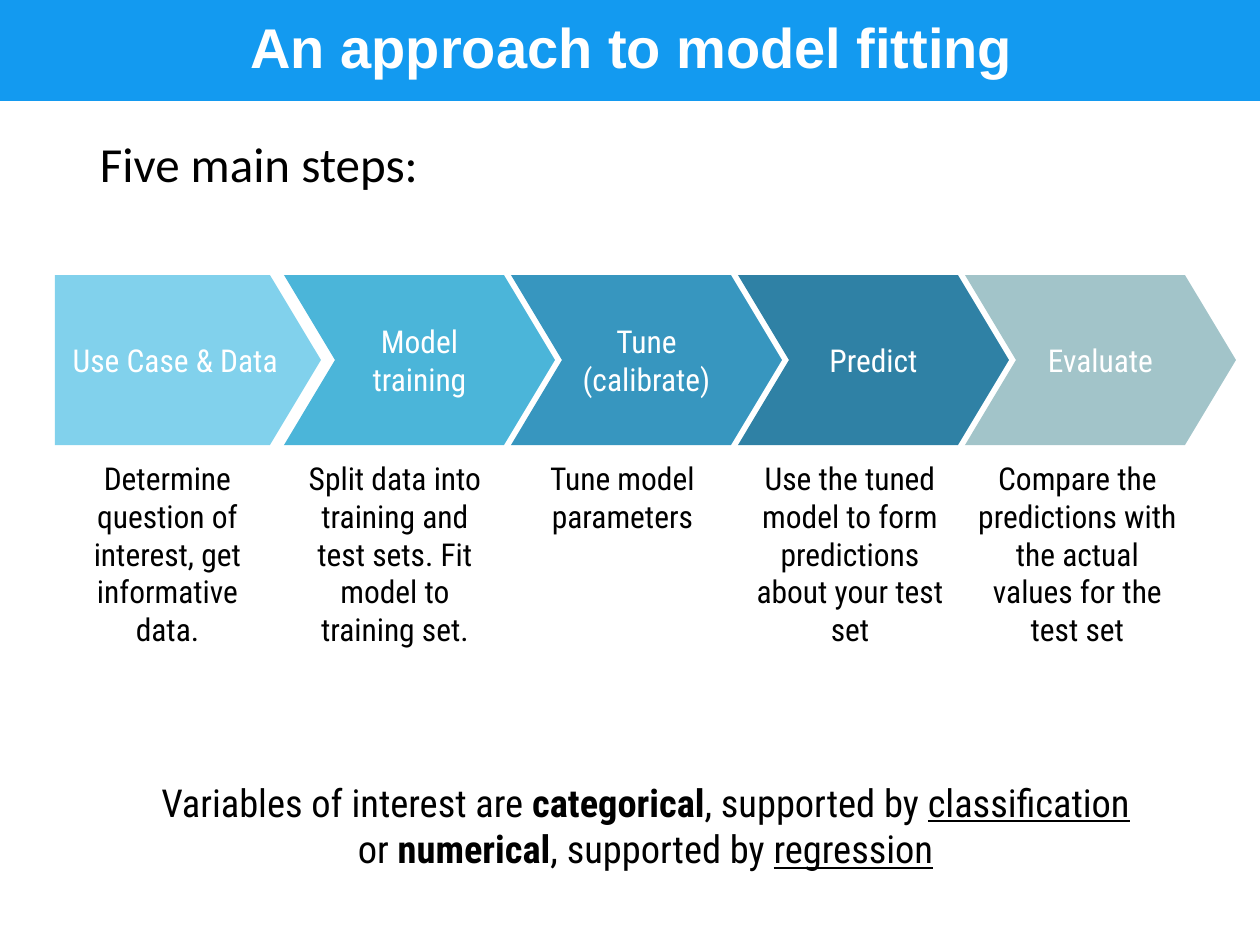
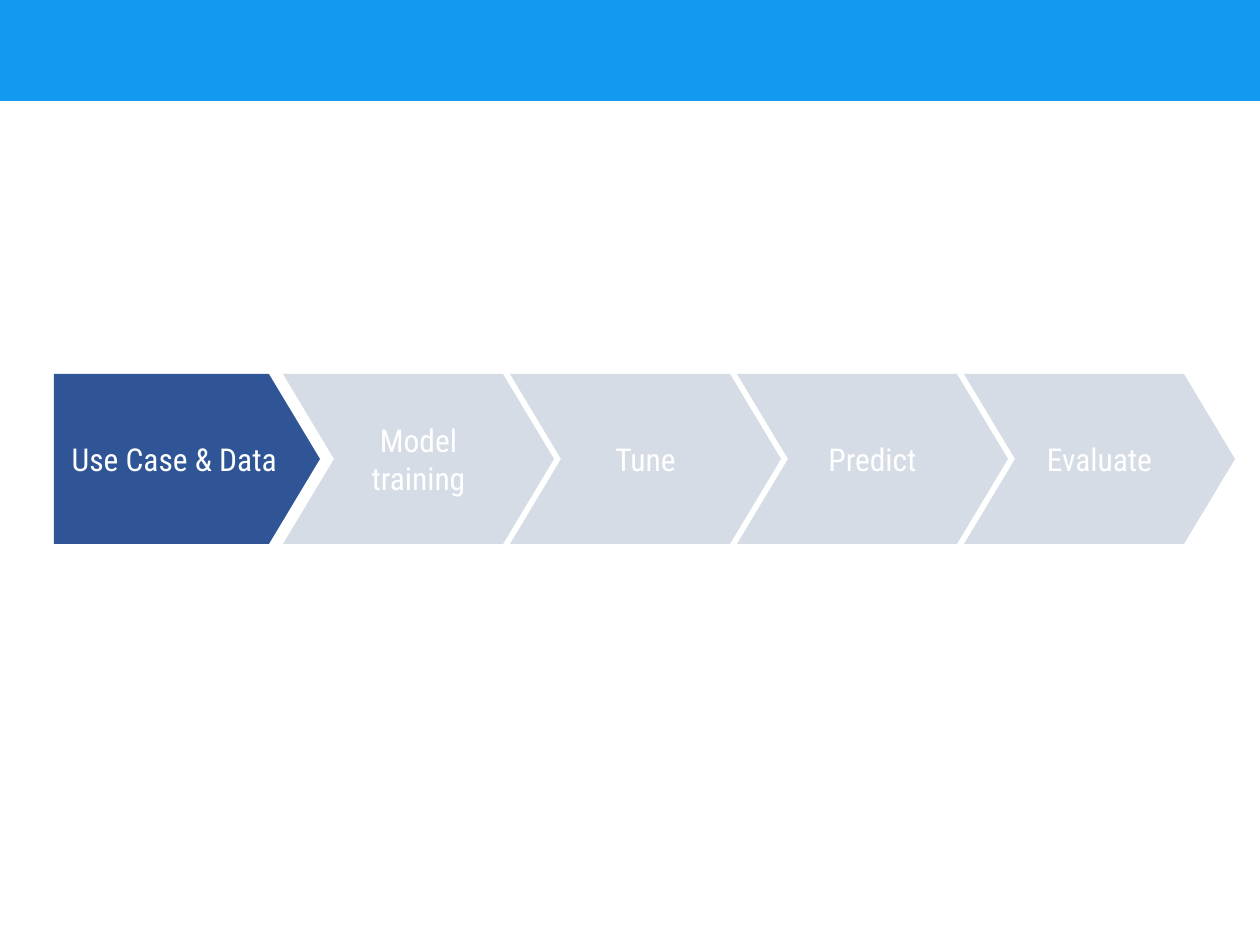
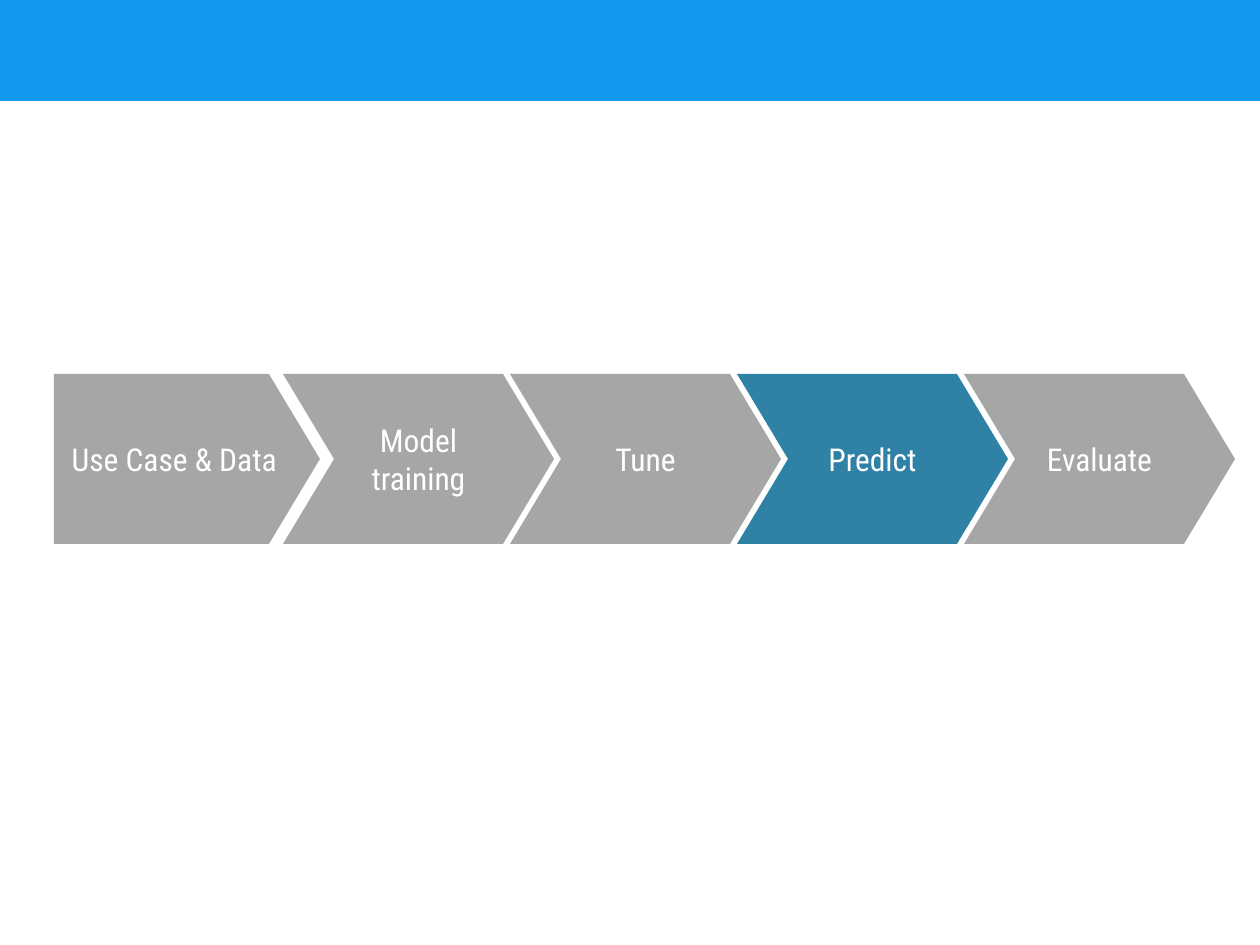
from pptx import Presentation
from pptx.dml.color import RGBColor
from pptx.enum.shapes import MSO_SHAPE as SHAPE
from pptx.enum.text import MSO_ANCHOR as ANCHOR, PP_ALIGN as ALIGN
from pptx.util import Emu, Pt

PX = 914400 / 126
WIDTH, HEIGHT, BAND_H = 1260, 945, 101
ARROW_W, FIRST_W, POINT = 271, 266, 0.3

WHITE = RGBColor(0xFF, 0xFF, 0xFF)
BLACK = RGBColor(0x00, 0x00, 0x00)
BAND = RGBColor(0x13, 0x9A, 0xF0)
NAVY = RGBColor(0x2F, 0x55, 0x97)
PALE = RGBColor(0xD6, 0xDC, 0xE5)
GREY = RGBColor(0xA6, 0xA6, 0xA6)
SKY = RGBColor(0x81, 0xD1, 0xEC)
CYAN = RGBColor(0x4B, 0xB5, 0xD9)
BLUE = RGBColor(0x37, 0x96, 0xBF)
TEAL = RGBColor(0x2F, 0x81, 0xA5)
SAGE = RGBColor(0xA2, 0xC4, 0xC9)

BODY_FONT = "Roboto Condensed"
STEPS = ["Use Case & Data", "Model training", "Tune", "Predict", "Evaluate"]
DETAILED_STEPS = [*STEPS[:2], "Tune (calibrate)", *STEPS[3:]]
CAPTIONS = [
    "Determine question of interest, get informative data.",
    "Split data into training and test sets. Fit model to training set.",
    "Tune model parameters",
    "Use the tuned model to form predictions about your test set",
    "Compare the predictions with the actual values for the test set",
]
VARIABLES = [
    [("Variables of interest are ", ""), ("categorical", "b"),
     (", supported by ", ""), ("classification", "u")],
    [("or ", ""), ("numerical", "b"),
     (", supported by ", ""), ("regression", "u")],
]


def px(*lengths):
    return [Emu(round(n * PX)) for n in lengths]


def write(sp, text, size=18, font=BODY_FONT, color=BLACK, bold=False,
          align=ALIGN.CENTER, anchor=ANCHOR.TOP, spacing=None, pad_y=13):
    tf = sp.text_frame
    tf.word_wrap = True
    tf.vertical_anchor = anchor
    tf.margin_left, tf.margin_right = px(13, 13)
    tf.margin_top, tf.margin_bottom = px(pad_y, pad_y)
    lines = [[(text, "")]] if isinstance(text, str) else text
    for i, runs in enumerate(lines):
        p = tf.add_paragraph() if i else tf.paragraphs[0]
        p.alignment = align
        p.line_spacing = spacing
        for words, style in runs:
            r = p.add_run()
            r.text = words
            r.font.name, r.font.size = font, Pt(size)
            r.font.color.rgb = color
            r.font.bold = bold or style == "b"
            r.font.underline = style == "u"


def add_text(s, box, text, **fmt):
    write(s.shapes.add_textbox(*px(*box)), text, **fmt)


def add_block(s, kind, box, fill):
    sp = s.shapes.add_shape(kind, *px(*box))
    sp.shadow.inherit = False
    sp.fill.solid()
    sp.fill.fore_color.rgb = fill
    sp.line.fill.background()
    return sp


def add_banded_slide(prs):
    s = prs.slides.add_slide(prs.slide_layouts[6])
    add_block(s, SHAPE.RECTANGLE, (0, 0, WIDTH, BAND_H), BAND)
    return s


def add_process(s, box, steps, fills):
    x, y, w, h = box
    pitch = (w - ARROW_W) // (len(steps) - 1)
    for i, (step, fill) in enumerate(zip(steps, fills)):
        if i == 0:
            kind, left, width = SHAPE.PENTAGON, x, FIRST_W
        else:
            kind, width = SHAPE.CHEVRON, ARROW_W
            left = x + w - ARROW_W - (len(steps) - 1 - i) * pitch
        sp = add_block(s, kind, (left, y, width, h), fill)
        sp.adjustments[0] = POINT
        write(sp, step, color=WHITE, anchor=ANCHOR.MIDDLE)


def add_captions(s, box, captions):
    x, y, w, h = box
    width = 225
    pitch = (w - width) / (len(captions) - 1)
    for i, caption in enumerate(captions):
        add_text(s, (x + i * pitch, y, width, h), caption)


def add_overview(prs):
    s = add_banded_slide(prs)
    add_text(s, (87, 100, 1086, 133), "Five main steps:", size=28,
             font="Calibri", align=ALIGN.LEFT, anchor=ANCHOR.MIDDLE,
             spacing=0.9, pad_y=6)
    add_text(s, (87, 0, 1090, BAND_H), "An approach to model fitting", size=32,
             font="Arial", color=WHITE, bold=True, anchor=ANCHOR.MIDDLE,
             spacing=0.9, pad_y=6)
    add_text(s, (55, 773, 1181, 106), VARIABLES, size=22, pad_y=6)
    add_process(s, (55, 275, 1181, 170), DETAILED_STEPS,
                [SKY, CYAN, BLUE, TEAL, SAGE])
    add_captions(s, (55, 446, 1135, 254), CAPTIONS)


def add_step_slide(prs, current, active, inactive):
    s = add_banded_slide(prs)
    fills = [active if step == current else inactive for step in STEPS]
    add_process(s, (54, 374, 1181, 170), STEPS, fills)


def main():
    prs = Presentation()
    prs.slide_width, prs.slide_height = px(WIDTH, HEIGHT)
    add_overview(prs)
    add_step_slide(prs, "Use Case & Data", NAVY, PALE)
    add_step_slide(prs, "Predict", TEAL, GREY)
    prs.save("out.pptx")


if __name__ == "__main__":
    main()
